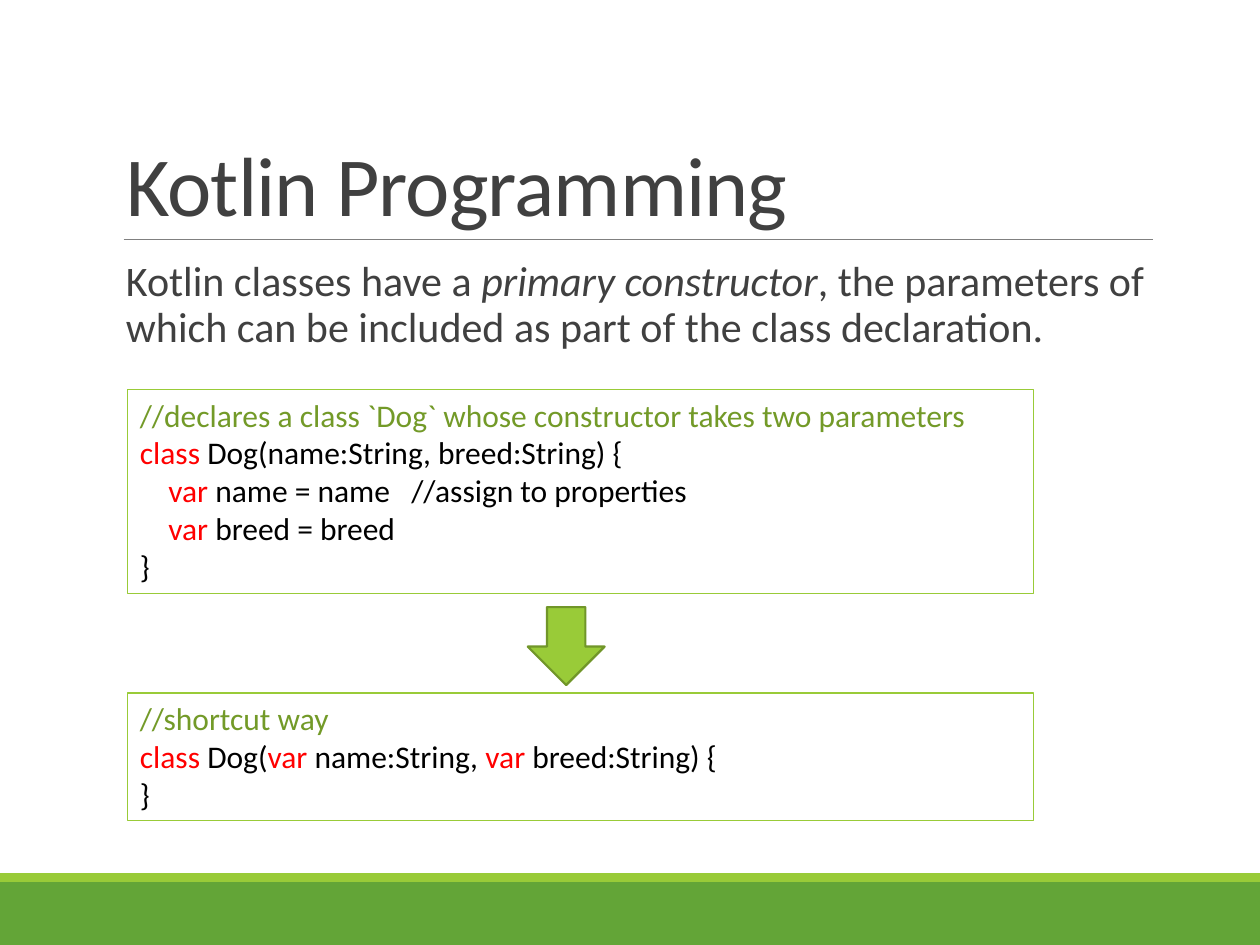
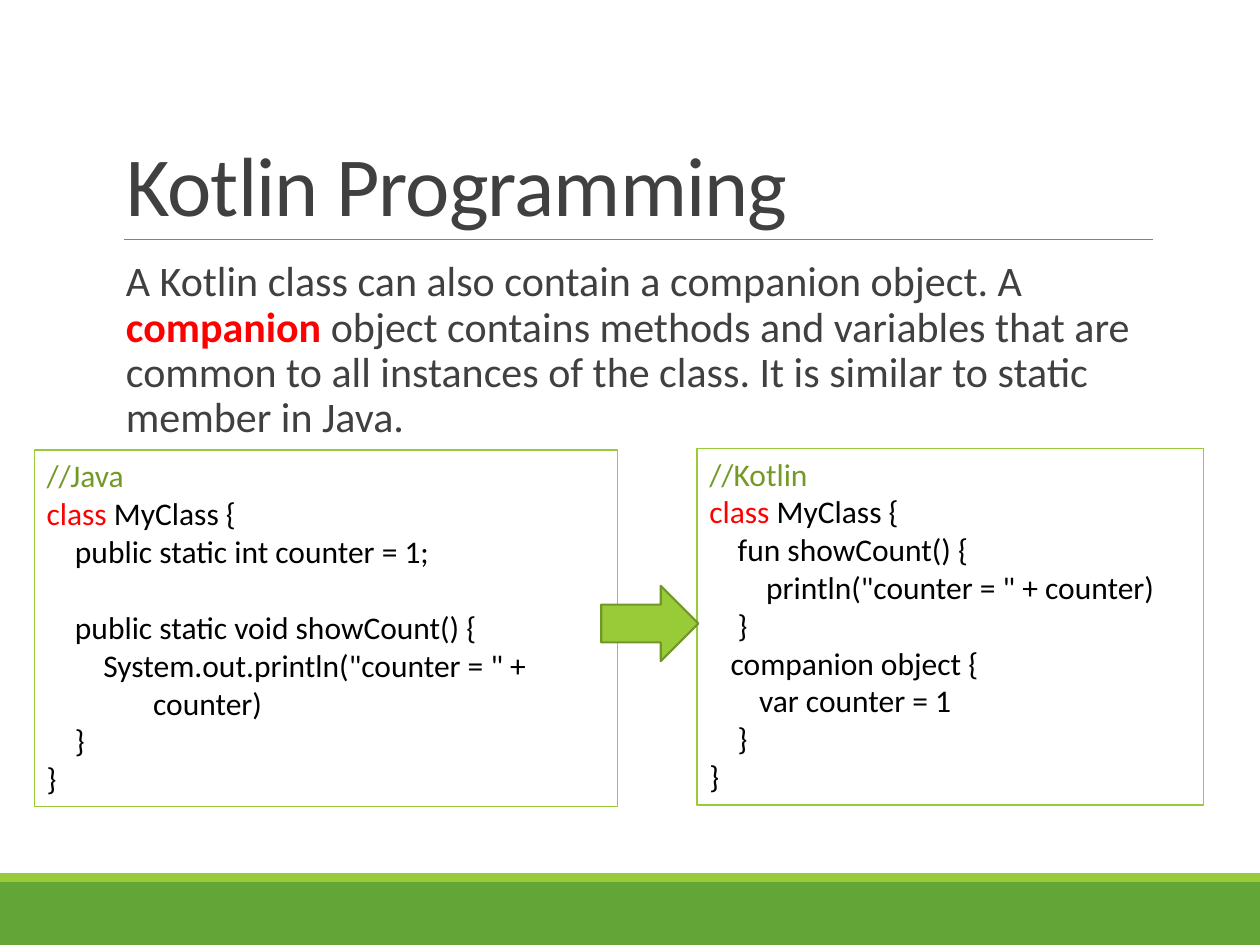
from pptx import Presentation
from pptx.dml.color import RGBColor
from pptx.enum.shapes import MSO_CONNECTOR, MSO_SHAPE
from pptx.enum.text import MSO_ANCHOR, MSO_AUTO_SIZE, PP_ALIGN
from pptx.oxml.xmlchemy import OxmlElement
from pptx.util import Cm, Pt

GREEN = RGBColor(0x63, 0xA5, 0x37)
LIME = RGBColor(0x99, 0xCB, 0x38)
ARROW_EDGE = RGBColor(0x71, 0x96, 0x29)
COMMENT = RGBColor(0x73, 0x9A, 0x28)
RED = RGBColor(0xFF, 0, 0)
BLACK = RGBColor(0, 0, 0)
DARK = RGBColor(0x40, 0x40, 0x40)
GREY = RGBColor(0x80, 0x80, 0x80)
FONT = "Calibri"

CLASS = ("class ", {"color": RED})
VAR = ("var ", {"color": RED})


def write(tf, paragraphs, size=18, color=BLACK, line_spacing=None, spc=None):
    """Fill tf; each paragraph is a list of runs, each a string or (string, format)."""
    tf.word_wrap = True
    tf.auto_size = MSO_AUTO_SIZE.NONE
    for i, runs in enumerate(paragraphs):
        p = tf.paragraphs[0] if i == 0 else tf.add_paragraph()
        p.alignment = PP_ALIGN.LEFT
        if line_spacing:
            p.line_spacing = line_spacing
        for run in runs:
            text, fmt = (run, {}) if isinstance(run, str) else run
            r = p.add_run()
            r.text = text
            r.font.name = FONT
            r.font.size = Pt(size)
            r.font.color.rgb = fmt.get("color", color)
            r.font.bold = fmt.get("bold", False)
            r.font.italic = fmt.get("italic", False)
            if spc is not None:
                r._r.get_or_add_rPr().set("spc", str(spc))


def add_filled(s, kind, box, fill, edge=None):
    sp = s.shapes.add_shape(kind, *map(Cm, box))
    sp.shadow.inherit = False
    sp.fill.solid()
    sp.fill.fore_color.rgb = fill
    if edge is None:
        sp.line.fill.background()
    else:
        sp.line.color.rgb = edge
        sp.line.width = Pt(1.25)


# Each code box: position, lines, and the lines that follow a gap
slides = [
    {
        "body": ["Kotlin classes have a\u00a0".replace("\u00a0", " "),
                 ("primary constructor", {"italic": True}),
                 ", the parameters of which can be included as part of the class declaration."],
        "code": [
            ((2.57, 7.85, 18.26, 4.11), [
                [("//declares a class `Dog` whose constructor takes two parameters",
                  {"color": COMMENT})],
                [CLASS, "Dog(name:String, breed:String) {"],
                ["    ", VAR, "name = name   //assign to properties"],
                ["    ", VAR, "breed = breed"],
                ["}"],
            ], []),
            ((2.57, 13.97, 18.26, 2.57), [
                [("//shortcut way", {"color": COMMENT})],
                [CLASS, "Dog(", VAR, "name:String, ", VAR, "breed:String) {"],
                ["}"],
            ], []),
        ],
        "arrow": (MSO_SHAPE.DOWN_ARROW, (10.64, 12.24, 1.55, 1.57)),
    },
    {
        "body": ["A Kotlin class can also contain a companion object. A ",
                 ("companion ", {"color": RED, "bold": True}),
                 "object contains methods and variables that are common to all instances "
                 "of the class. It is similar to static member in Java."],
        "code": [
            ((14.05, 9.04, 10.21, 7.19), [
                [("//Kotlin", {"color": COMMENT})],
                [CLASS, "MyClass {"],
                ["    fun showCount() {"],
                ['        println("counter = " + counter)'],
                ["    }"],
                ["   companion object {"],
                ["       var counter = 1"],
                ["    }"],
                ["}"],
            ], []),
            ((0.69, 9.07, 11.76, 7.19), [
                [("//Java", {"color": COMMENT})],
                [CLASS, "MyClass {"],
                ["    public static int counter = 1;"],
                ["    public static void showCount() {"],
                ['        System.out.println("counter = " +'],
                ["               counter)"],
                ["    }"],
                ["}"],
            ], [3]),
        ],
        "arrow": (MSO_SHAPE.RIGHT_ARROW, (12.12, 11.81, 1.96, 1.52)),
    },
]

prs = Presentation()
prs.slide_width, prs.slide_height = Cm(25.4), Cm(19.05)

for content in slides:
    s = prs.slides.add_slide(prs.slide_layouts[5])

    add_filled(s, MSO_SHAPE.RECTANGLE, (0, 17.78, 25.4, 1.27), GREEN)
    add_filled(s, MSO_SHAPE.RECTANGLE, (0, 17.6, 25.4, 0.18), LIME)
    rule = s.shapes.add_connector(MSO_CONNECTOR.STRAIGHT, Cm(2.49), Cm(4.83), Cm(23.24), Cm(4.83))
    rule.line.color.rgb = GREY
    rule.line.width = Pt(0.5)
    rule._element.spPr.append(OxmlElement("a:effectLst"))

    title = s.shapes.title
    title.left, title.top, title.width, title.height = map(Cm, (2.29, 0.79, 20.95, 4.04))
    title.text_frame.vertical_anchor = MSO_ANCHOR.BOTTOM
    write(title.text_frame, [["Kotlin Programming"]], size=48, color=DARK,
          line_spacing=0.85, spc=-50)

    body = s.shapes.add_textbox(*map(Cm, (2.29, 5.13, 20.95, 11.18)))
    body.text_frame.margin_right = 0
    write(body.text_frame, [content["body"]], size=24, color=DARK, line_spacing=0.9)

    for box, lines, after_gap in content["code"]:
        sp = s.shapes.add_textbox(*map(Cm, box))
        sp.line.color.rgb = LIME
        sp.line.width = Pt(0.75)
        write(sp.text_frame, lines)
        for i in after_gap:
            sp.text_frame.paragraphs[i].space_before = Pt(22)

    kind, box = content["arrow"]
    add_filled(s, kind, box, LIME, edge=ARROW_EDGE)

prs.save("out.pptx")
